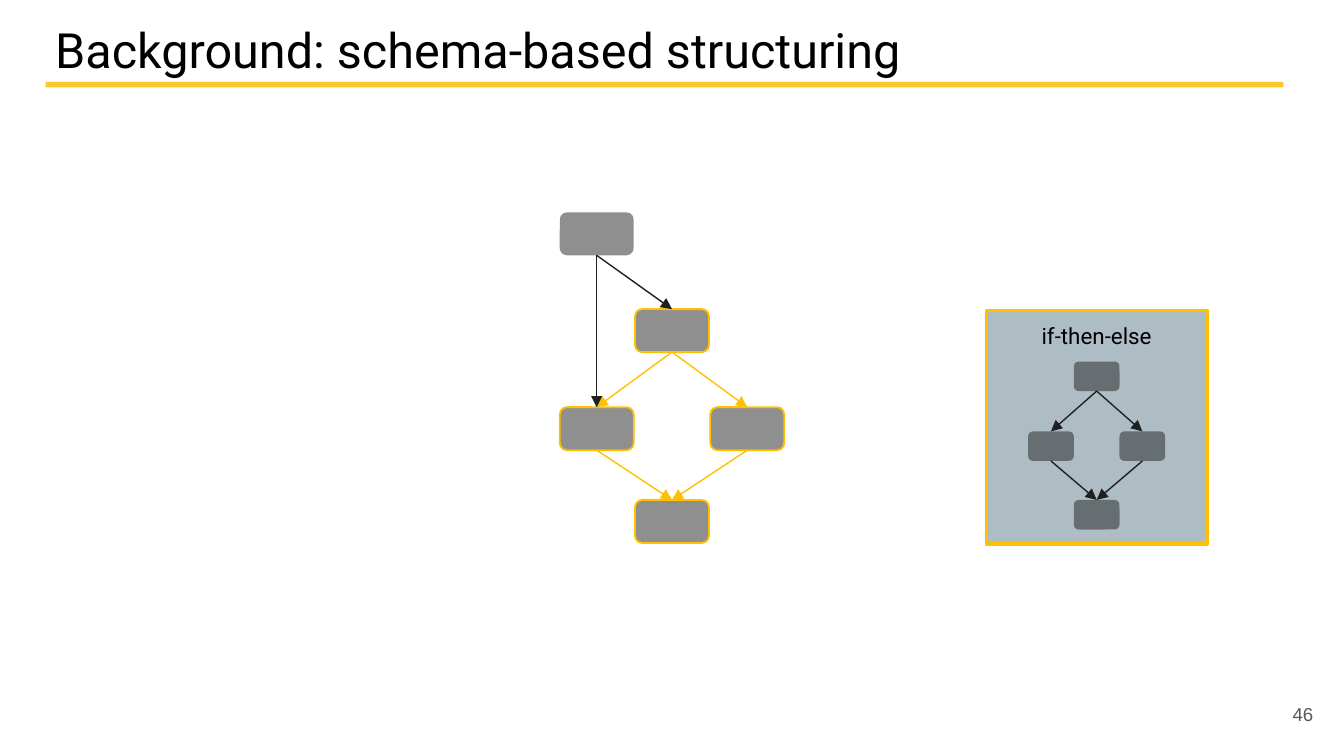
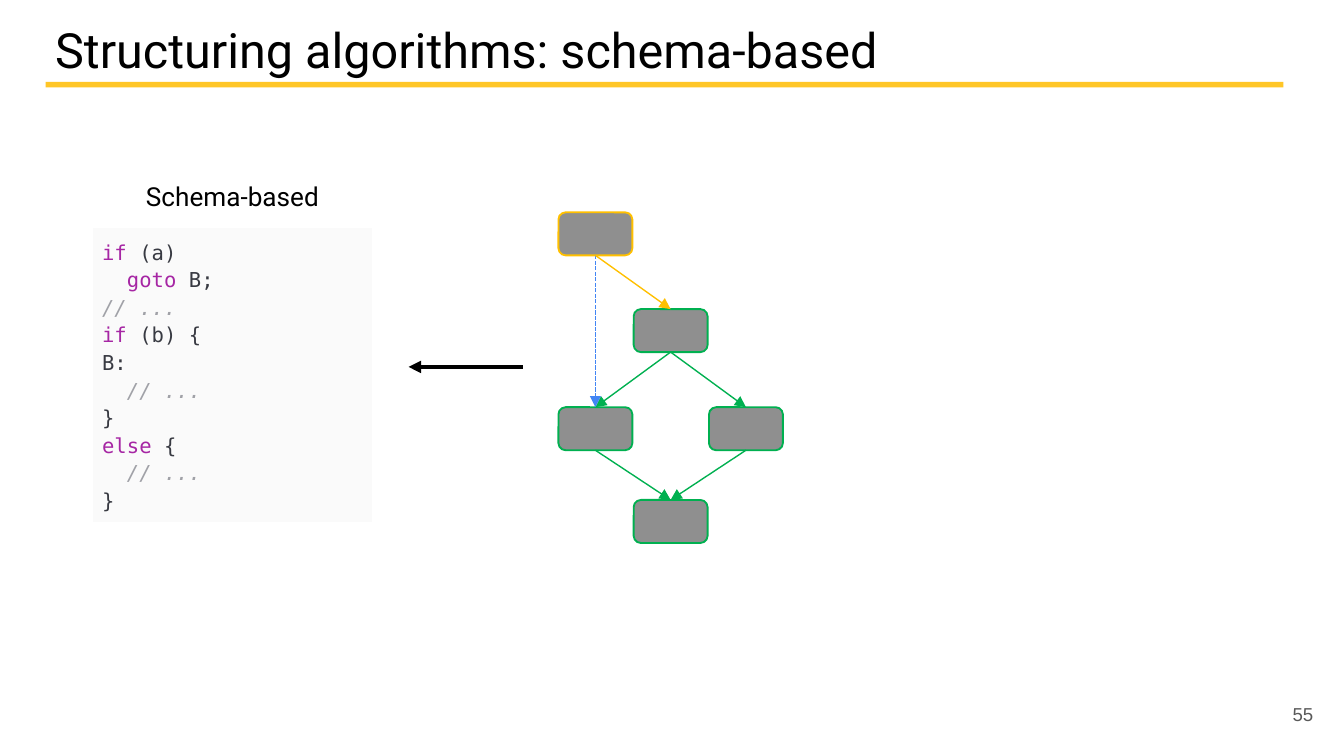
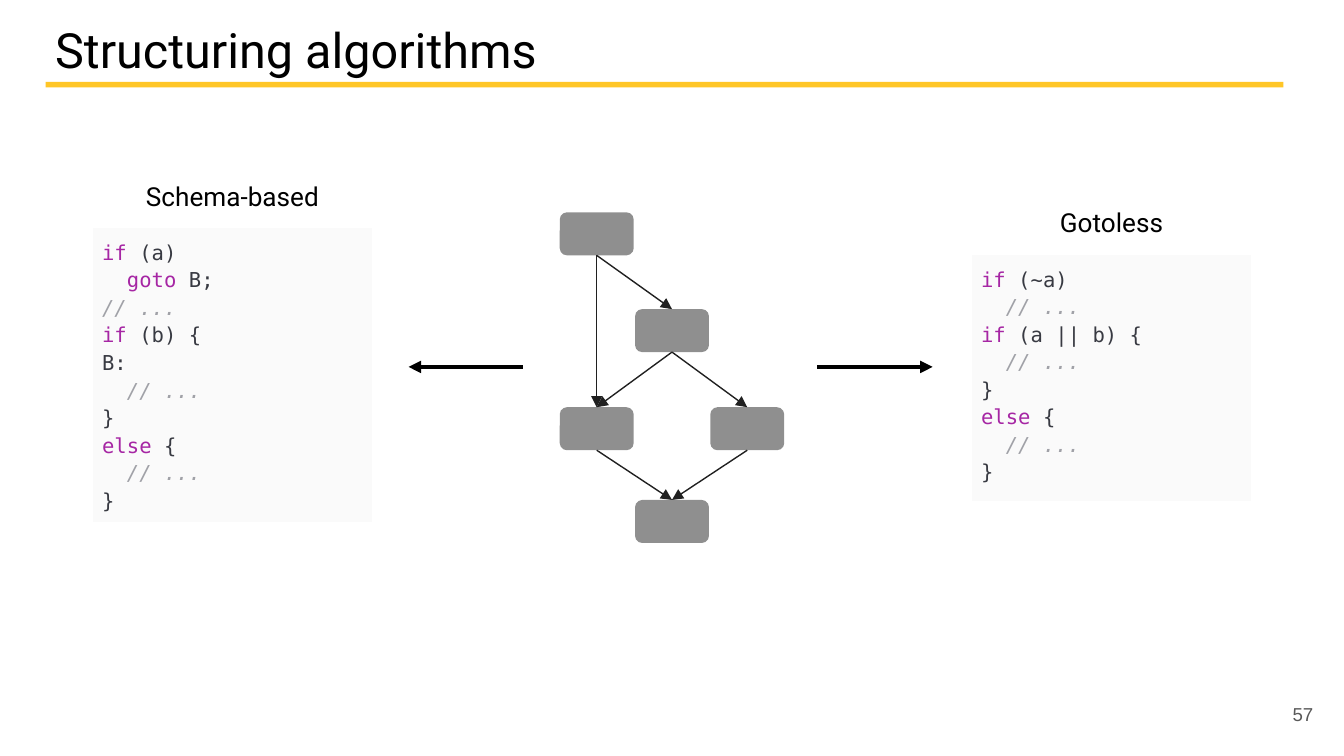
from lxml.etree import SubElement
from pptx import Presentation
from pptx.dml.color import RGBColor
from pptx.enum.dml import MSO_LINE_DASH_STYLE as Dash
from pptx.enum.shapes import MSO_CONNECTOR as Connector, MSO_SHAPE as Shape
from pptx.enum.text import MSO_ANCHOR as Anchor, MSO_AUTO_SIZE as AutoSize, PP_ALIGN as Align
from pptx.oxml import parse_xml
from pptx.oxml.ns import nsdecls, qn
from pptx.util import Inches, Pt

BLACK, GRAY = "000000", "595959"
AMBER, GREEN, BLUE, DARK = "FFC000", "00B050", "4285F4", "202020"
TITLE_BAND, NODE, PANEL = "FFC627", "212121", "AEBCC4"
CODE_BACK, CODE_PLAIN, CODE_KEYWORD, CODE_COMMENT = "FAFAFA", "383A42", "A626A4", "A0A1A7"
KEYWORDS = ("if", "else", "goto")
TOP, BOTTOM = 0, 2  # connection sites of a node

SCHEMA_CODE = """\
if (a)
  goto B;
// ...
if (b) {
B:
  // ...
}
else {
  // ...
}"""
GOTOLESS_CODE = """\
if (~a)
  // ...
if (a || b) {
  // ...
}
else {
  // ...
}"""


def color(value):
    return RGBColor.from_string(value)


def add_text(slide, text, area, size, font="Roboto", ink=BLACK, align=Align.LEFT,
             insets=(0.1, 0.05), anchor=Anchor.TOP, grow=False):
    box = slide.shapes.add_textbox(*map(Inches, area))
    frame = box.text_frame
    frame.text = text
    frame.word_wrap = True
    frame.vertical_anchor = anchor
    frame.auto_size = AutoSize.SHAPE_TO_FIT_TEXT if grow else AutoSize.NONE
    frame.margin_left = frame.margin_right = Inches(insets[0])
    frame.margin_top = frame.margin_bottom = Inches(insets[1])
    para = frame.paragraphs[0]
    para.alignment = align
    span = para.runs[0]
    span.font.name, span.font.size = font, Pt(size)
    span.font.color.rgb = color(ink)


def add_box(slide, kind, area, fill, outline=None, width=1):
    box = slide.shapes.add_shape(kind, *map(Inches, area))
    box.shadow.inherit = False
    box.fill.solid()
    box.fill.fore_color.rgb = color(fill)
    if outline:
        box.line.color.rgb = color(outline)
        box.line.width = Pt(width)
    else:
        box.line.fill.background()
    return box


def add_node(slide, center, top, size, outline):
    """Half-transparent rounded box, centred on the given x."""
    width, height = size
    node = add_box(slide, Shape.ROUNDED_RECTANGLE,
                   (center - width / 2, top, width, height), NODE, outline)
    rgb = node.fill._xPr.find(".//" + qn("a:srgbClr"))
    SubElement(rgb, qn("a:alpha"), val="50000")
    return node


def add_arrow(slide, start, end, ink, width=0.75):
    arrow = slide.shapes.add_connector(Connector.STRAIGHT, *map(Inches, start + end))
    arrow.line.color.rgb = color(ink)
    arrow.line.width = Pt(width)
    SubElement(arrow.line._get_or_add_ln(), qn("a:tailEnd"), type="triangle")
    SubElement(arrow._element.spPr, qn("a:effectLst"))
    return arrow


def add_edge(slide, parent, child, ink):
    edge = add_arrow(slide, (0, 0), (0, 0), ink)
    edge.begin_connect(parent, BOTTOM)
    edge.end_connect(child, TOP)
    return edge


def add_diamond(slide, center, tops, spread, size, outline=None, ink=DARK):
    """Draw an if-then-else graph; return its head and left branch."""
    head, left, right, tail = [
        add_node(slide, center + shift * spread, tops[row], size, outline)
        for shift, row in ((0, 0), (-1, 1), (1, 1), (0, 2))]
    for parent, child in ((head, right), (right, tail), (head, left), (left, tail)):
        add_edge(slide, parent, child, ink)
    return head, left


def add_flow_graph(slide, center=5, outline=None, ink=DARK, root_outline=None,
                   branch_ink=DARK, jump_ink=DARK, jump_dash=None):
    """Diamond with a root above it that also jumps into its left branch."""
    spread, size = 0.56, (0.55, 0.32)
    head, left = add_diamond(slide, center, (2.3, 3.03, 3.72), spread, size, outline, ink)
    root = add_node(slide, center - spread, 1.58, size, root_outline)
    jump = add_edge(slide, root, left, jump_ink)
    if jump_dash:
        jump.line.dash_style = jump_dash
    add_edge(slide, root, head, branch_ink)


def write_code(para, code):
    para.line_spacing = 1.15
    for number, line in enumerate(code.splitlines()):
        if number:
            para.add_line_break()
        body = line.lstrip()
        indent = line[:len(line) - len(body)]
        comment = body.startswith("//")
        first_word = body.partition(" ")[0]
        marked = body if comment else first_word if first_word in KEYWORDS else ""
        mark_ink = CODE_COMMENT if comment else CODE_KEYWORD
        for text, ink in ((indent, CODE_PLAIN), (marked, mark_ink),
                          (body[len(marked):], CODE_PLAIN)):
            if text:
                span = para.add_run()
                span.text = text
                span.font.name, span.font.size = "DejaVu Sans Mono", Pt(11)
                span.font.color.rgb = color(ink)
                span.font.italic = ink == CODE_COMMENT


def add_code(slide, heading, code, left, top):
    """One-cell code table with its heading above."""
    width = 2.08
    height = 0.13 + 0.21 * len(code.splitlines())
    frame = slide.shapes.add_table(1, 1, *map(Inches, (left, top, width, height)))
    table = frame.table
    table.first_row = table.horz_banding = False
    table.rows[0].height = 0  # the row grows to fit its text
    frame.height = Inches(height)
    cell = table.cell(0, 0)
    cell.margin_left = cell.margin_right = Inches(0.07)
    cell.margin_top = cell.margin_bottom = Inches(0.07)
    cell.fill.solid()
    cell.fill.fore_color.rgb = color(CODE_BACK)
    for position, side in enumerate("LRTB"):
        border = parse_xml(
            f'<a:ln{side} {nsdecls("a")} w="9525"><a:solidFill><a:srgbClr val="{BLACK}">'
            f'<a:alpha val="0"/></a:srgbClr></a:solidFill></a:ln{side}>')
        cell._tc.tcPr.insert(position, border)
    write_code(cell.text_frame.paragraphs[0], code)
    add_text(slide, heading, (left, top - 0.41, width, 0.34), 14,
             align=Align.CENTER, grow=True)


def add_schema_result(slide):
    add_code(slide, "Schema-based", SCHEMA_CODE, 0.69, 1.7)
    add_arrow(slide, (3.89, 2.73), (3.04, 2.73), BLACK, 2.25)


def add_schema_panel(slide):
    left, width = 7.34, 1.64
    add_box(slide, Shape.RECTANGLE, (left, 2.31, width, 1.74), PANEL, AMBER, 2)
    add_diamond(slide, left + width / 2, (2.69, 3.21, 3.72), 0.34, (0.34, 0.22))
    add_text(slide, "if-then-else", (left, 2.35, width, 0.3), 12,
             align=Align.CENTER, grow=True)


def add_page(deck, title, number):
    slide = deck.slides.add_slide(deck.slide_layouts[6])
    add_text(slide, title, (0.34, 0.11, 9.21, 0.44), 26, insets=(0.07, 0.04))
    add_box(slide, Shape.RECTANGLE, (0.34, 0.61, 9.21, 0.04), TITLE_BAND)
    add_text(slide, str(number), (9.27, 5.1, 0.6, 0.43), 10, "Arial", GRAY,
             Align.RIGHT, (0.1, 0.1), Anchor.MIDDLE)
    return slide


def main():
    deck = Presentation()
    deck.slide_width, deck.slide_height = Inches(10), Inches(10 * 9 / 16)

    page = add_page(deck, "Background: schema-based structuring", 46)
    add_flow_graph(page, outline=AMBER, ink=AMBER)
    add_schema_panel(page)

    page = add_page(deck, "Structuring algorithms: schema-based", 55)
    add_schema_result(page)
    add_flow_graph(page, 4.99, GREEN, GREEN, root_outline=AMBER, branch_ink=AMBER,
                   jump_ink=BLUE, jump_dash=Dash.SQUARE_DOT)

    page = add_page(deck, "Structuring algorithms", 57)
    add_schema_result(page)
    add_code(page, "Gotoless", GOTOLESS_CODE, 7.23, 1.9)
    add_arrow(page, (6.08, 2.73), (6.94, 2.73), BLACK, 2.25)
    add_flow_graph(page)

    deck.save("out.pptx")


if __name__ == "__main__":
    main()
